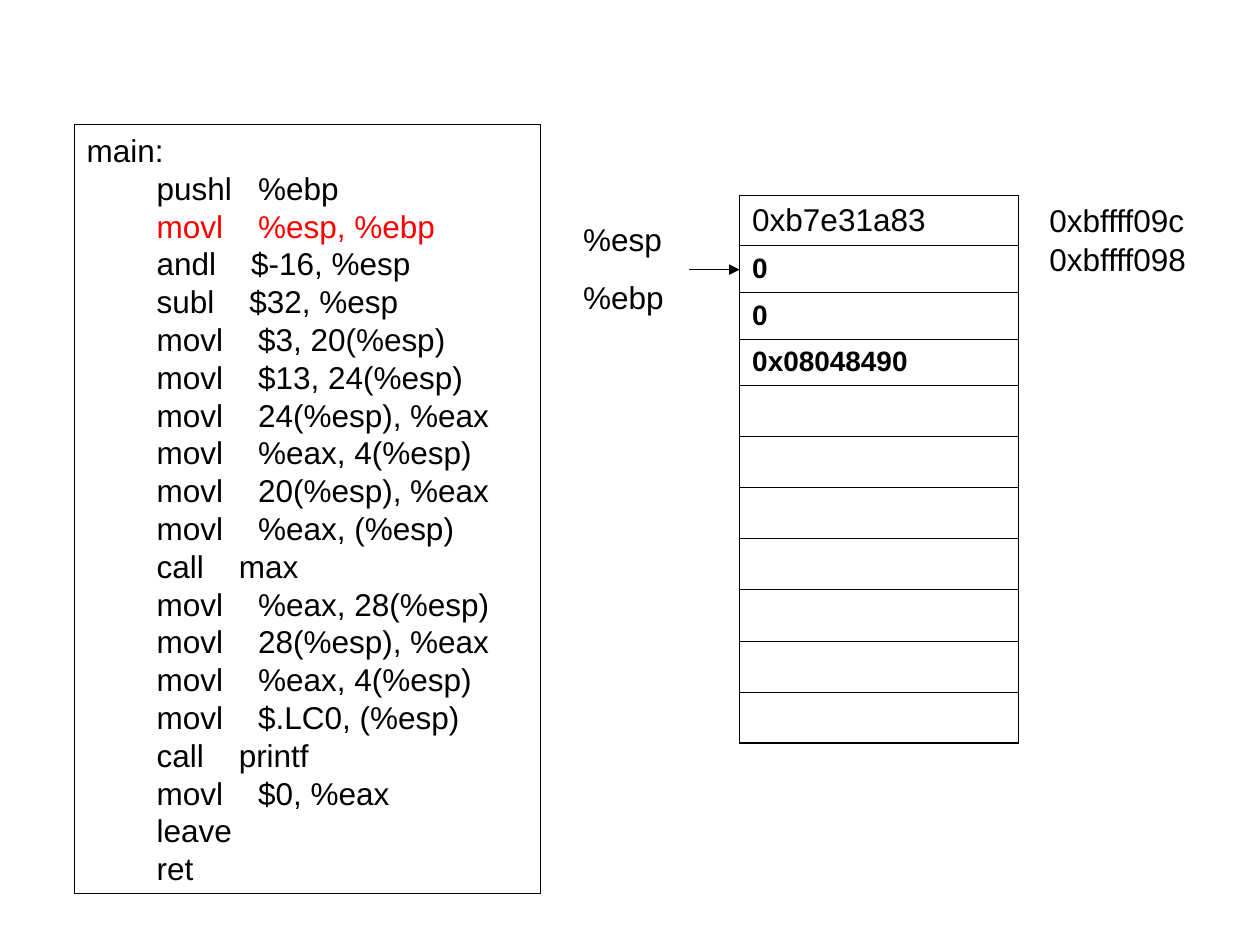
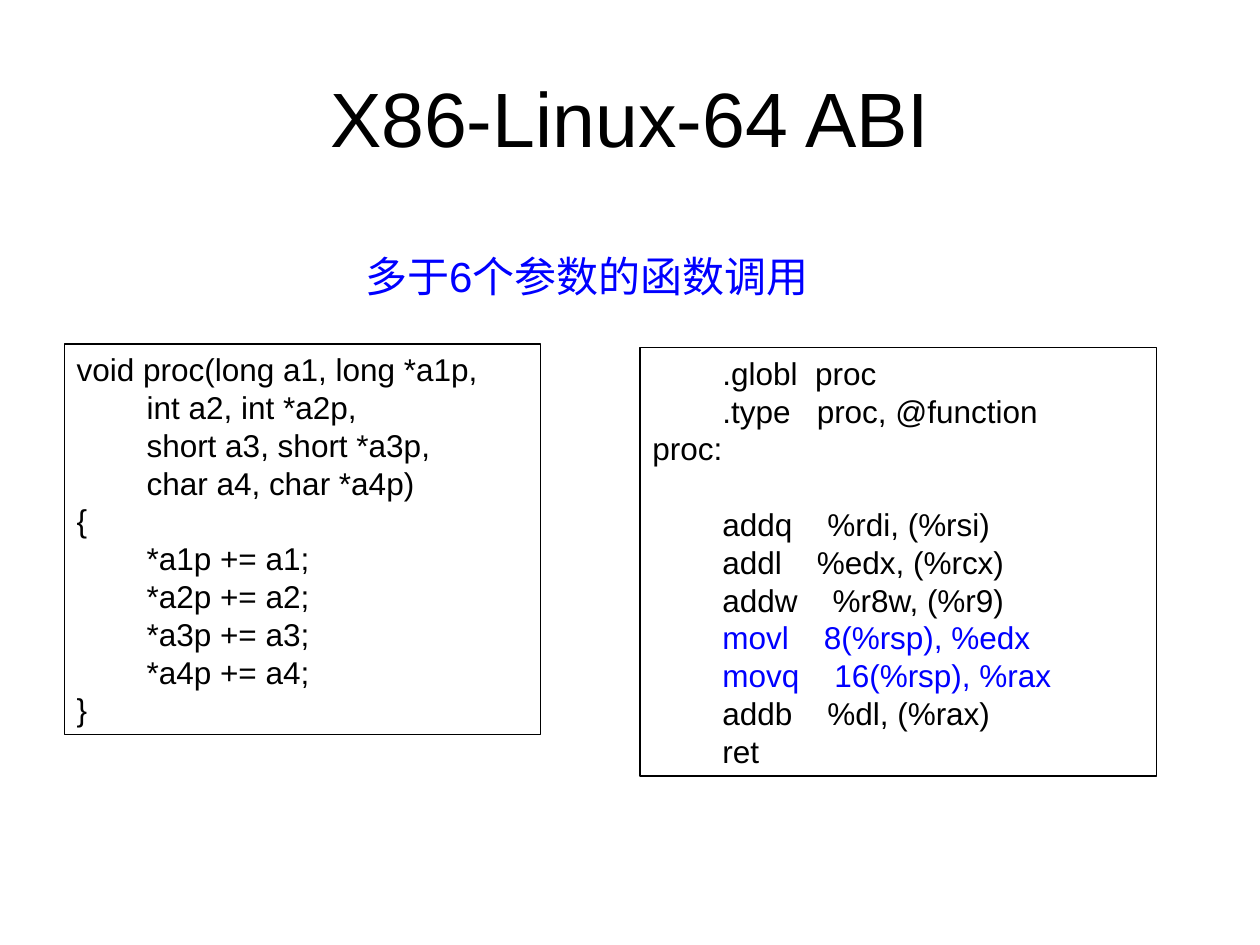
"""Builds two slides on stack frames and calls with many arguments."""
from dataclasses import dataclass

from lxml import etree
from pptx import Presentation
from pptx.dml.color import RGBColor
from pptx.enum.shapes import MSO_CONNECTOR, MSO_SHAPE
from pptx.enum.text import MSO_ANCHOR, PP_ALIGN
from pptx.oxml.ns import qn
from pptx.util import Inches, Pt

RECT = MSO_SHAPE.RECTANGLE
STRAIGHT = MSO_CONNECTOR.STRAIGHT
TOP, MIDDLE = MSO_ANCHOR.TOP, MSO_ANCHOR.MIDDLE
LEFT, CENTER = PP_ALIGN.LEFT, PP_ALIGN.CENTER
TITLE_ONLY, BLANK = 5, 6
WIDE, HIGH = Inches(10), Inches(7.5)
COLS, ROWS = 100, 75


@dataclass(frozen=True)
class Theme:
    font: str = "Arial"
    ink: str = "000000"
    red: str = "FF0000"
    blue: str = "0000FF"
    title: float = 44
    head: float = 24
    body: float = 18
    small: float = 16
    lead: float = 21.6
    gap: float = 11.2
    line: float = 0.75
    rule: float = 0.45
    base: float = 1.08


THEME = Theme()

MAIN = """main:
        pushl   %ebp
        movl    %esp, %ebp
        andl    $-16, %esp
        subl    $32, %esp
        movl    $3, 20(%esp)
        movl    $13, 24(%esp)
        movl    24(%esp), %eax
        movl    %eax, 4(%esp)
        movl    20(%esp), %eax
        movl    %eax, (%esp)
        call    max
        movl    %eax, 28(%esp)
        movl    28(%esp), %eax
        movl    %eax, 4(%esp)
        movl    $.LC0, (%esp)
        call    printf
        movl    $0, %eax
        leave
        ret"""

PROC_C = """void proc(long a1, long *a1p,
        int a2, int *a2p,
        short a3, short *a3p,
        char a4, char *a4p)
{
        *a1p += a1;
        *a2p += a2;
        *a3p += a3;
        *a4p += a4;
}"""

PROC_ASM = """        .globl  proc
        .type   proc, @function
proc:

        addq    %rdi, (%rsi)
        addl    %edx, (%rcx)
        addw    %r8w, (%r9)
        movl    8(%rsp), %edx
        movq    16(%rsp), %rax
        addb    %dl, (%rax)
        ret"""

STACK = ["0xb7e31a83", "0", "0", "0x08048490"]
DEPTH = 11


def across(cols):
    """Length of a number of grid columns."""
    return round(WIDE * cols / COLS)


def down(rows):
    """Length of a number of grid rows."""
    return round(HIGH * rows / ROWS)


def area(x, y, w, h):
    """Position and size of a grid area."""
    return across(x), down(y), across(w), down(h)


def write(frame, text, size=THEME.body, color=THEME.ink, bold=False, align=LEFT,
          anchor=TOP, gap=0, lead=None, marks=(), tint=None):
    """Fill a text frame line by line, tinting the marked lines."""
    frame.word_wrap = True
    frame.vertical_anchor = anchor
    par, skip = None, 0
    for num, line in enumerate(text.split("\n")):
        if not line:
            skip += lead or size
            continue
        if par is None:
            par = frame.paragraphs[0]
        else:
            par = frame.add_paragraph()
            par.space_before = Pt(gap + skip)
        skip = 0
        par.alignment = align
        if lead:
            par.line_spacing = Pt(lead)
        run = par.add_run()
        run.text = line
        font = run.font
        font.name, font.size, font.bold = THEME.font, Pt(size), bold
        font.color.rgb = RGBColor.from_string(tint if num in marks else color)


def label(slide, spot, text, **style):
    """Add a plain text box."""
    write(slide.shapes.add_textbox(*area(*spot)).text_frame, text, **style)


def stroke(line):
    """Give a line the shared ink and width."""
    line.color.rgb = RGBColor.from_string(THEME.ink)
    line.width = Pt(THEME.line)


def listing(slide, spot, code, **style):
    """Add a framed code listing."""
    box = slide.shapes.add_shape(RECT, *area(*spot))
    box.shadow.inherit = False
    box.fill.background()
    stroke(box.line)
    write(box.text_frame, code, lead=THEME.lead, **style)


def border(cell, last):
    """Draw the four borders of a cell, heavier under the last one."""
    props = cell._tc.get_or_add_tcPr()
    for side in "LRTB":
        width = THEME.base if last and side == "B" else THEME.rule
        line = etree.SubElement(props, qn(f"a:ln{side}"), w=str(Pt(width)))
        fill = etree.SubElement(line, qn("a:solidFill"))
        etree.SubElement(fill, qn("a:srgbClr"), val=THEME.ink)


def stack(slide, x, y, width, words, depth):
    """Add a one-column table of stack words."""
    tall, short = 4, 3.7
    sizes = [short if 0 < num < len(words) else tall for num in range(depth)]
    table = slide.shapes.add_table(depth, 1, *area(x, y, width, sum(sizes))).table
    table.first_row = table.horz_banding = False
    for num, size in enumerate(sizes):
        table.rows[num].height = down(size)
        cell = table.cell(num, 0)
        border(cell, num == depth - 1)
        cell.fill.background()
        cell.vertical_anchor = MIDDLE
        if num < len(words):
            write(cell.text_frame, words[num], anchor=MIDDLE, bold=num > 0,
                  size=THEME.small if num else THEME.body)


def arrow(slide, x, y, end):
    """Add a level arrow from x to end."""
    link = slide.shapes.add_connector(STRAIGHT, across(x), down(y), across(end), down(y))
    stroke(link.line)
    props = link._element.spPr
    etree.SubElement(props.find(qn("a:ln")), qn("a:tailEnd"), type="triangle")
    etree.SubElement(props, qn("a:effectLst"))


def frames(deck):
    """Slide with the code of main beside its stack."""
    slide = deck.slides.add_slide(deck.slide_layouts[BLANK])
    listing(slide, (5.9, 9.9, 37, 61), MAIN, marks=(2,), tint=THEME.red)
    stack(slide, 58.7, 15.5, 22.1, STACK, DEPTH)
    label(slide, (45.3, 17, 9.5, 8.6), "%esp\n%ebp", gap=THEME.gap, lead=THEME.lead)
    arrow(slide, 54.7, 21.4, 58.7)
    for num, word in enumerate(["0xbffff09c", "0xbffff098"]):
        label(slide, (82.3, 15.5 + 3.1 * num, 14.2, 4), word)


def calls(deck):
    """Slide with a call of more than six arguments."""
    slide = deck.slides.add_slide(deck.slide_layouts[TITLE_ONLY])
    title = slide.shapes.title
    title.left, title.top, title.width, title.height = area(5, 3, 90, 12.5)
    write(title.text_frame, "X86-Linux-64 ABI", size=THEME.title, align=CENTER, anchor=MIDDLE)
    listing(slide, (5.1, 27.3, 37.8, 31), PROC_C)
    listing(slide, (50.8, 27.6, 41, 34), PROC_ASM, marks=(7, 8), tint=THEME.blue)
    label(slide, (28, 19.4, 46.5, 5), "多于6个参数的函数调用", size=THEME.head, color=THEME.blue)


def main():
    """Build and save the deck."""
    deck = Presentation()
    deck.slide_width, deck.slide_height = WIDE, HIGH
    frames(deck)
    calls(deck)
    deck.save("out.pptx")


if __name__ == "__main__":
    main()
